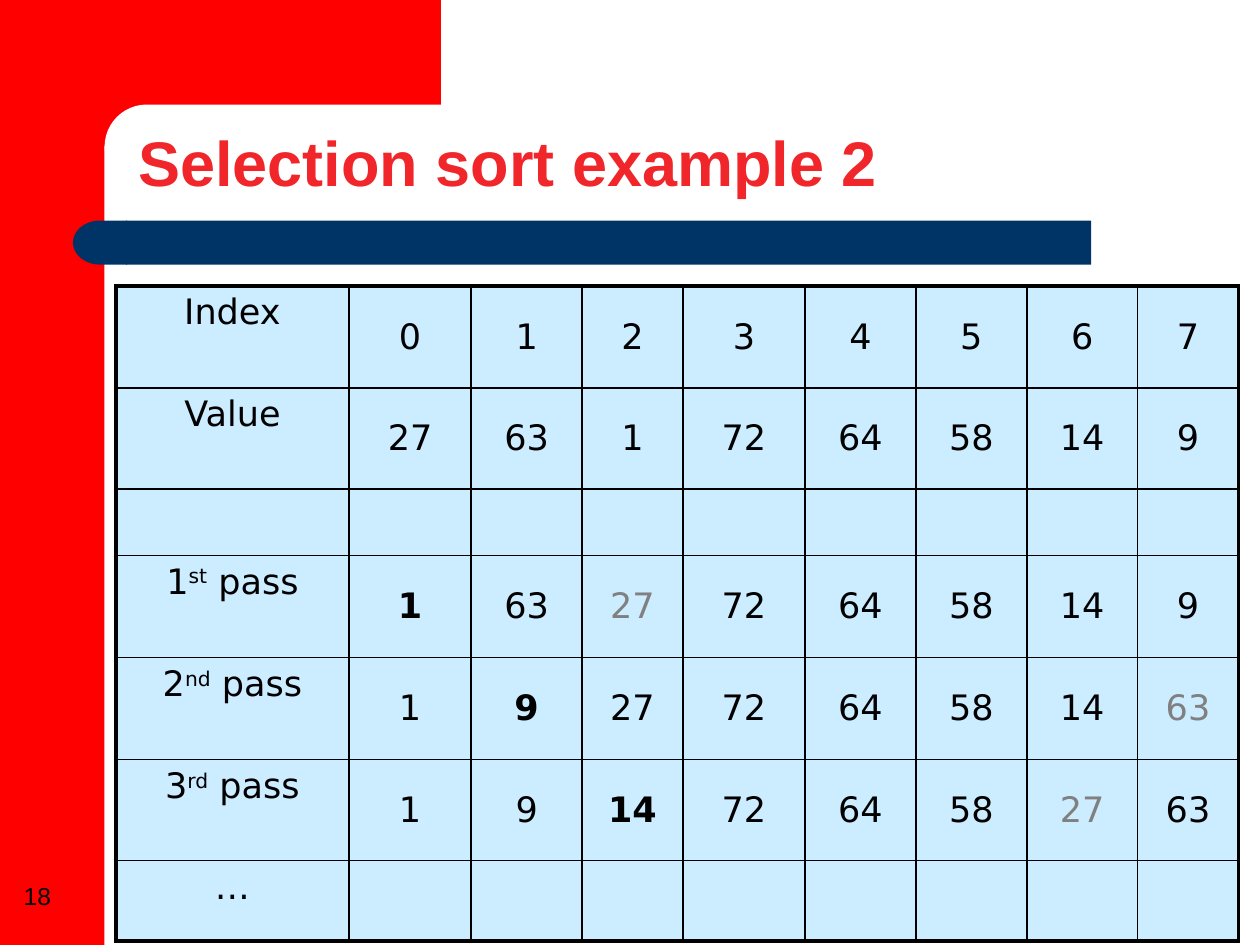
from pptx import Presentation
from pptx.dml.color import RGBColor
from pptx.enum.shapes import MSO_SHAPE as Preset
from pptx.enum.text import MSO_ANCHOR as Anchor, PP_ALIGN as Align
from pptx.oxml import parse_xml
from pptx.oxml.ns import nsdecls
from pptx.util import Inches, Pt

COLORS = {
    "red": "FF0000", "white": "FFFFFF", "navy": "003366", "title": "F0262B",
    "cell": "CCECFF", "text": "000000", "moved": "808080",
}
THIN, THICK = 1, 2.25

COLUMN_WIDTHS = [1.85, 0.97, 0.88, 0.8, 0.97, 0.88, 0.88, 0.88, 0.8]
ROW_HEIGHTS = [0.81, 0.8, 0.53, 0.81, 0.81, 0.8, 0.64]
# Label (superscript between carets) followed by the array values
ROWS = [
    ["Index", 0, 1, 2, 3, 4, 5, 6, 7],
    ["Value", 27, 63, 1, 72, 64, 58, 14, 9],
    [],
    ["1^st^ pass", 1, 63, 27, 72, 64, 58, 14, 9],
    ["2^nd^ pass", 1, 9, 27, 72, 64, 58, 14, 63],
    ["3^rd^ pass", 1, 9, 14, 72, 64, 58, 27, 63],
    ["…"],
]
# (row, column) of the values placed and displaced by each pass
PLACED = {(3, 1), (4, 2), (5, 3)}
DISPLACED = {(3, 3), (4, 8), (5, 7)}


class SlideBuilder:
    def __init__(self, slide, body_font="DejaVu Sans", heading_font="Arial"):
        self.slide = slide
        self.body_font = body_font
        self.heading_font = heading_font

    def color(self, name):
        return RGBColor.from_string(COLORS[name])

    def style(self, run, size, font, color="text", bold=False):
        run.font.size = Pt(size)
        run.font.name = font
        run.font.bold = bold
        run.font.color.rgb = self.color(color)

    def block(self, preset, left, top, width, height, color, corner=None, flip=False):
        shape = self.slide.shapes.add_shape(
            preset, Inches(left), Inches(top), Inches(width), Inches(height))
        shape.shadow.inherit = False
        shape.fill.solid()
        shape.fill.fore_color.rgb = self.color(color)
        shape.line.fill.background()
        if corner is not None:
            shape.adjustments[0] = corner
        if flip:
            shape._element.spPr.xfrm.set("flipH", "1")

    def text(self, text, left, top, width, height, size, color="text",
             bold=False, anchor=Anchor.TOP, line_spacing=None):
        box = self.slide.shapes.add_textbox(
            Inches(left), Inches(top), Inches(width), Inches(height))
        frame = box.text_frame
        frame.word_wrap = True
        frame.vertical_anchor = anchor
        frame.text = text
        paragraph = frame.paragraphs[0]
        paragraph.line_spacing = line_spacing
        self.style(paragraph.runs[0], size, self.heading_font, color, bold)

    def border(self, cell, side, width):
        cell._tc.get_or_add_tcPr().append(parse_xml(
            f'<a:ln{side} {nsdecls("a")} w="{Pt(width)}"><a:solidFill>'
            f'<a:srgbClr val="{COLORS["text"]}"/></a:solidFill></a:ln{side}>'))

    def cell_text(self, cell, text, color, bold):
        paragraph = cell.text_frame.paragraphs[0]
        paragraph.alignment = Align.CENTER
        for index, part in enumerate(text.split("^")):
            run = paragraph.add_run()
            run.text = part
            self.style(run, 20, self.body_font, color, bold)
            if index % 2:
                run._r.get_or_add_rPr().set("baseline", "30000")

    def table(self, left, top, widths, heights, rows):
        frame = self.slide.shapes.add_table(
            len(heights), len(widths), Inches(left), Inches(top),
            Inches(sum(widths)), Inches(sum(heights)))
        table = frame.table
        table.first_row = table.horz_banding = False
        for column, width in zip(table.columns, widths):
            column.width = Inches(width)
        for row, height in zip(table.rows, heights):
            row.height = Inches(height)

        last_row, last_column = len(heights) - 1, len(widths) - 1
        for r in range(len(heights)):
            for c in range(len(widths)):
                cell = table.cell(r, c)
                # Thick outer frame, thin inner grid
                edges = {"L": c == 0, "R": c == last_column,
                         "T": r == 0, "B": r == last_row}
                for side, outer in edges.items():
                    self.border(cell, side, THICK if outer else THIN)
                cell.fill.solid()
                cell.fill.fore_color.rgb = self.color("cell")
                cell.vertical_anchor = Anchor.MIDDLE if c else Anchor.TOP
                if c < len(rows[r]):
                    color = "moved" if (r, c) in DISPLACED else "text"
                    self.cell_text(cell, str(rows[r][c]), color, (r, c) in PLACED)


def main():
    presentation = Presentation()
    presentation.slide_width = Inches(10)
    presentation.slide_height = Inches(7.5)
    slide = presentation.slides.add_slide(presentation.slide_layouts[6])
    builder = SlideBuilder(slide)

    # Red corner with a rounded white cut-out
    builder.block(Preset.RECTANGLE, 0, 0, 0.83, 7.5, "red")
    builder.block(Preset.RECTANGLE, 0.75, 0, 2.75, 1.16, "red")
    builder.block(Preset.ROUNDED_RECTANGLE, 0.83, 0.83, 5.58, 0.67, "white", corner=0.5)

    # Navy bar with a round left end
    builder.block(Preset.ROUNDED_RECTANGLE, 1, 1.75, 7.66, 0.35, "navy", corner=0)
    builder.block(Preset.FLOWCHART_DELAY, 0.58, 1.75, 0.43, 0.35, "navy", flip=True)

    # Sorting passes
    builder.table(0.92, 2.27, COLUMN_WIDTHS, ROW_HEIGHTS, ROWS)

    # Title and slide number
    builder.text("Selection sort example 2", 1, 1, 8.75, 0.64, 36, "title",
                 bold=True, anchor=Anchor.BOTTOM, line_spacing=0.9)
    builder.text("18", 0.09, 6.94, 0.64, 0.53, 14)

    presentation.save("out.pptx")


if __name__ == "__main__":
    main()
